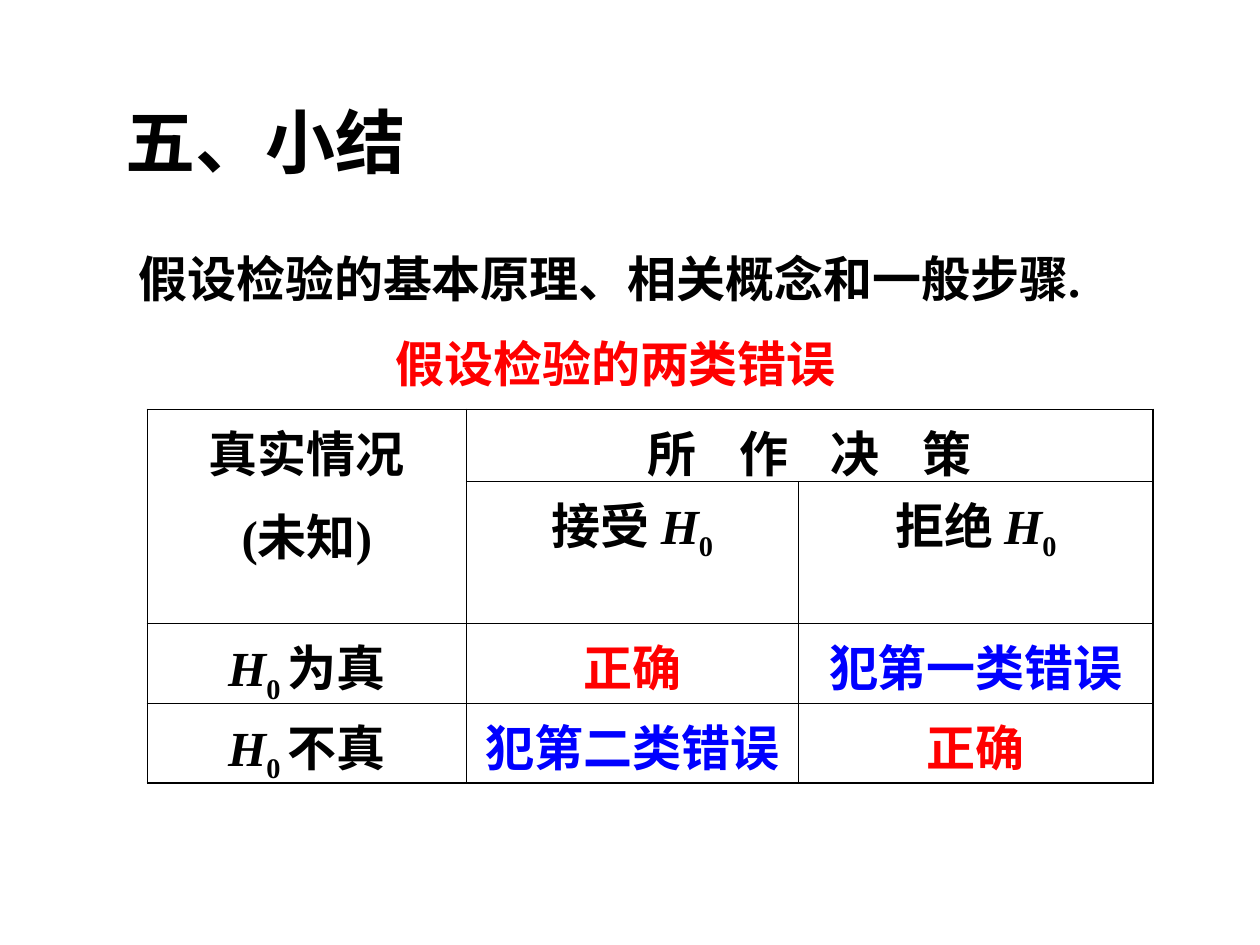
from lxml.etree import SubElement
from pptx import Presentation
from pptx.dml.color import RGBColor
from pptx.enum.text import MSO_ANCHOR, MSO_AUTO_SIZE, PP_ALIGN
from pptx.oxml.ns import qn
from pptx.util import Inches, Pt

BLACK, RED, BLUE = "000000", "FF0000", "0000FF"
FONT = "Times New Roman"
THIN, THICK = 0.45, 1.08

# text, box (left, top, width, height), size, colour, anchor
HEADINGS = [
    ("五、小结", (0.9, 0.73, 8.5, 0.77), 40, BLACK, MSO_ANCHOR.MIDDLE),
    ("假设检验的基本原理、相关概念和一般步骤.", (1, 1.92, 8.25, 0.57), 28, BLACK, MSO_ANCHOR.TOP),
    ("假设检验的两类错误", (3.04, 2.6, 5.5, 0.57), 28, RED, MSO_ANCHOR.TOP),
]

TABLE_LEFT, TABLE_TOP = 1.17, 3.25
COLUMNS = [2.53, 2.64, 2.81]
ROWS = [0.57, 1.13, 0.63, 0.63]
MERGES = [((0, 0), (1, 0)), ((0, 1), (0, 2))]
SPREAD = "所 作 决 策"
# (row, column): (paragraphs made of runs, colour)
DECISIONS = {
    (0, 0): ([["真实情况"], ["(未知)"]], BLACK),
    (0, 1): ([[SPREAD]], BLACK),
    (1, 1): ([["接受 ", "H", "0"]], BLACK),
    (1, 2): ([["拒绝 ", "H", "0"]], BLACK),
    (2, 0): ([["H", "0 ", "为真"]], BLACK),
    (2, 1): ([["正确"]], RED),
    (2, 2): ([["犯第一类错误"]], BLUE),
    (3, 0): ([["H", "0 ", "不真"]], BLACK),
    (3, 1): ([["犯第二类错误"]], BLUE),
    (3, 2): ([["正确"]], RED),
}


def style(font, size, colour):
    font.name, font.size, font.bold = FONT, Pt(size), True
    font.color.rgb = RGBColor.from_string(colour)


def add_heading(slide, text, box, size, colour, anchor):
    frame = slide.shapes.add_textbox(*map(Inches, box)).text_frame
    frame.word_wrap = True
    frame.auto_size = MSO_AUTO_SIZE.SHAPE_TO_FIT_TEXT
    frame.vertical_anchor = anchor
    frame.text = text
    style(frame.paragraphs[0].runs[0].font, size, colour)


def fill_cell(cell, lines, colour):
    frame = cell.text_frame
    for i, line in enumerate(lines):
        paragraph = frame.add_paragraph() if i else frame.paragraphs[0]
        paragraph.alignment = PP_ALIGN.CENTER
        if i:
            paragraph.space_before = Pt(7)
        for text in line:
            run = paragraph.add_run()
            run.text = text
            style(run.font, 28, colour)
            if text == "H":
                run.font.italic = True
            elif text.strip() == "0":
                run.font._element.set("baseline", "-25000")
            elif text == SPREAD:
                run.font._element.set("spc", "900")


def set_borders(cell, row, column):
    """Thick lines on the outer edge of the table, thin lines inside."""
    outer = {
        "a:lnL": column == 0,
        "a:lnR": column == len(COLUMNS) - 1 or (row, column) == (0, 1),
        "a:lnT": row == 0,
        "a:lnB": row == len(ROWS) - 1,
    }
    properties = cell._tc.get_or_add_tcPr()
    for tag, is_outer in outer.items():
        width = Pt(THICK if is_outer else THIN)
        line = SubElement(properties, qn(tag), w=str(int(width)))
        fill = SubElement(line, qn("a:solidFill"))
        SubElement(fill, qn("a:srgbClr"), val=BLACK)


def add_decision_table(slide):
    frame = slide.shapes.add_table(
        len(ROWS), len(COLUMNS), Inches(TABLE_LEFT), Inches(TABLE_TOP),
        Inches(sum(COLUMNS)), Inches(sum(ROWS)))
    table = frame.table
    table.first_row = table.horz_banding = False
    for column, width in zip(table.columns, COLUMNS):
        column.width = Inches(width)
    for row, height in zip(table.rows, ROWS):
        row.height = Inches(height)
    for start, end in MERGES:
        table.cell(*start).merge(table.cell(*end))
    for r in range(len(ROWS)):
        for c in range(len(COLUMNS)):
            cell = table.cell(r, c)
            set_borders(cell, r, c)
            cell.fill.background()
            if (r, c) in DECISIONS:
                fill_cell(cell, *DECISIONS[r, c])


def main():
    presentation = Presentation()
    presentation.slide_width, presentation.slide_height = Inches(10), Inches(7.5)
    slide = presentation.slides.add_slide(presentation.slide_layouts[6])
    for heading in HEADINGS:
        add_heading(slide, *heading)
    add_decision_table(slide)
    presentation.save("out.pptx")


if __name__ == "__main__":
    main()
